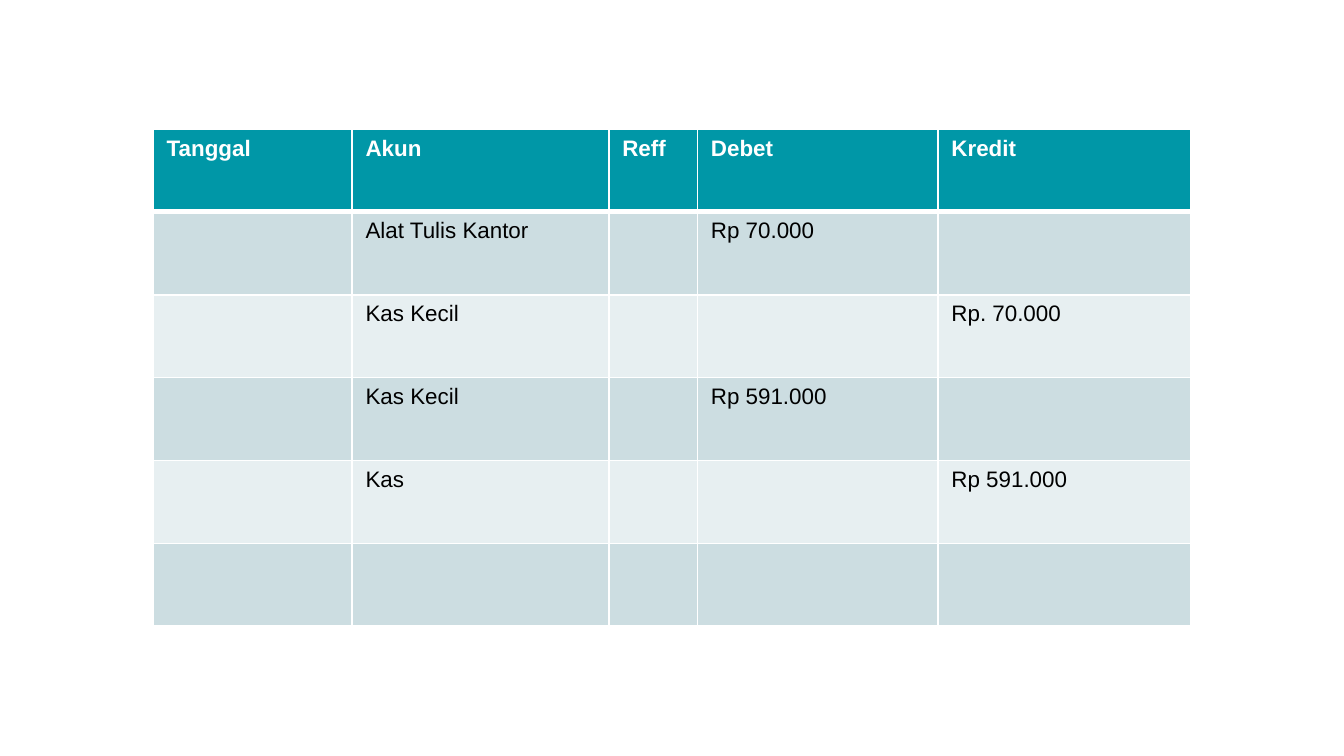
from lxml import etree
from pptx import Presentation
from pptx import util as u
from pptx.dml.color import RGBColor
from pptx.oxml import ns

COLORS = {"header": "0097A7", "odd": "CCDDE1", "even": "E7EFF1",
          "line": "FFFFFF", "head_text": "FFFFFF", "body_text": "000000"}
PAGE_WIDTH = 10
PAGE_HEIGHT = PAGE_WIDTH * 9 / 16
COLUMNS = [1.48, 1.91, 0.66, 1.79, 1.88]
TABLE_TOP, TABLE_HEIGHT = 0.96, 3.7
JOURNAL = [
    ["Tanggal", "Akun", "Reff", "Debet", "Kredit"],
    ["", "Alat Tulis Kantor", "", "Rp 70.000", ""],
    ["", "Kas Kecil", "", "", "Rp. 70.000"],
    ["", "Kas Kecil", "", "Rp 591.000", ""],
    ["", "Kas", "", "", "Rp 591.000"],
    ["", "", "", "", ""],
]


def color(name):
    return RGBColor.from_string(COLORS[name])


def add_borders(cell, row):
    """Thin lines all round, with a thick one below the header."""
    widths = {"lnL": 1, "lnR": 1, "lnT": 3 if row == 1 else 1,
              "lnB": 3 if row == 0 else 1}
    properties = cell._tc.get_or_add_tcPr()
    for side, width in widths.items():
        line = etree.SubElement(properties, ns.qn(f"a:{side}"), w=str(u.Pt(width)))
        fill = etree.SubElement(line, ns.qn("a:solidFill"))
        etree.SubElement(fill, ns.qn("a:srgbClr"), val=COLORS["line"])


def format_cell(cell, words, row):
    header = row == 0
    add_borders(cell, row)
    cell.fill.solid()
    band = "header" if header else ("odd" if row % 2 else "even")
    cell.fill.fore_color.rgb = color(band)
    para = cell.text_frame.paragraphs[0]
    if words:
        para.add_run().text = words
    for name, value in {"name": "Arial", "size": u.Pt(12), "bold": header}.items():
        for span in para.runs:
            setattr(span.font, name, value)
    for span in para.runs:
        span.font.color.rgb = color("head_text" if header else "body_text")


def add_journal(page):
    width = sum(COLUMNS)
    row_height = u.Inches(TABLE_HEIGHT / len(JOURNAL))
    frame = page.shapes.add_table(
        len(JOURNAL), len(COLUMNS), u.Inches((PAGE_WIDTH - width) / 2),
        u.Inches(TABLE_TOP), u.Inches(width), u.Inches(TABLE_HEIGHT))
    table = frame.table
    for column, size in zip(table.columns, COLUMNS):
        column.width = u.Inches(size)
    for row, entries in enumerate(JOURNAL):
        table.rows[row].height = row_height
        for column, words in enumerate(entries):
            format_cell(table.cell(row, column), words, row)


def main():
    deck = Presentation()
    deck.slide_width = u.Inches(PAGE_WIDTH)
    deck.slide_height = u.Inches(PAGE_HEIGHT)
    # Blank layout: the page holds only the journal table
    page = deck.slides.add_slide(deck.slide_layouts[6])
    add_journal(page)
    deck.save("out.pptx")


if __name__ == "__main__":
    main()
